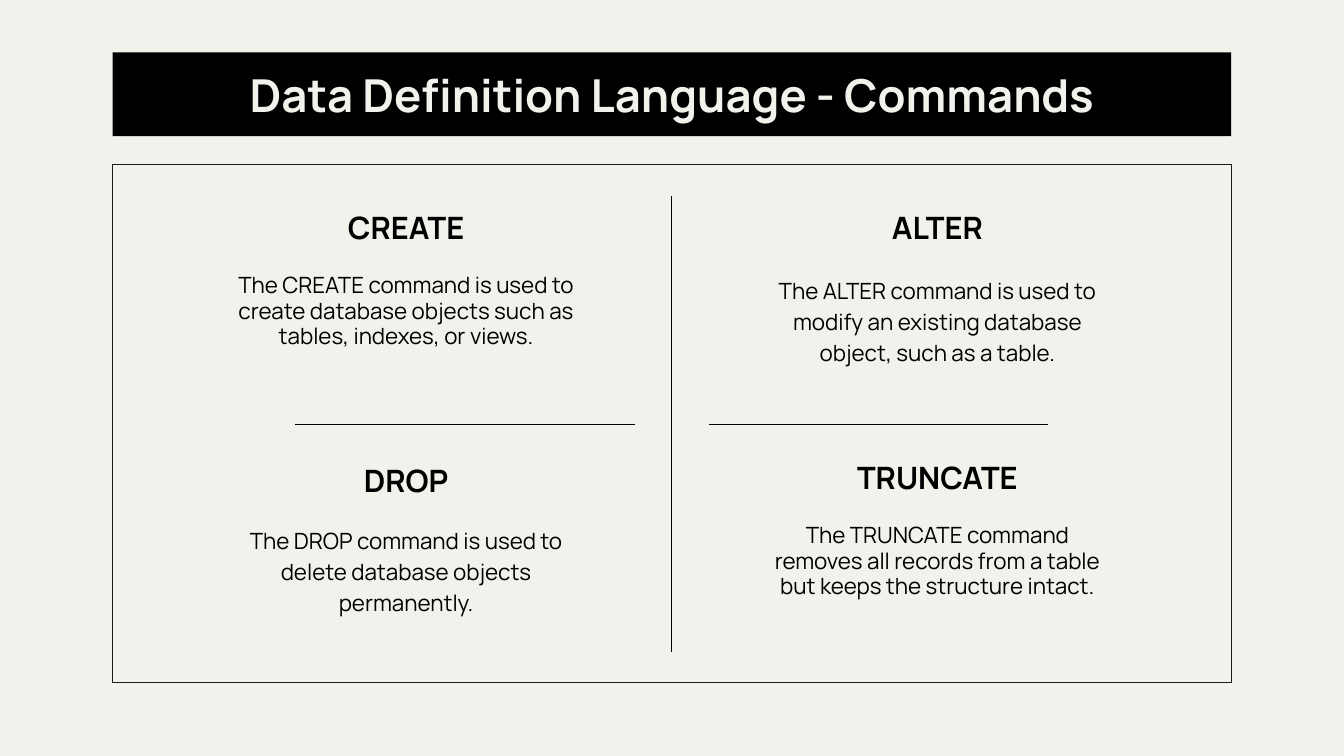
from dataclasses import dataclass

from pptx import Presentation
from pptx import util as u
from pptx.dml.color import RGBColor
from pptx.enum import shapes, text
from pptx.oxml import ns, xmlchemy

CREAM = RGBColor(0xF3, 0xF1, 0xEC)
BLACK = RGBColor(0x00, 0x00, 0x00)
CHARCOAL = RGBColor(0x1C, 0x1B, 0x1A)
FONT = "Manrope"

# Layout in centimetres
MARGIN_LEFT, CONTENT_WIDTH = 2.84, 28.19
COLUMNS, ROWS = (5.46, 18.85), (5.18, 11.48)
TEXT_WIDTH, HEADING_HEIGHT, BODY_HEIGHT = 9.55, 1.38, 3.33
INSET = 0.33


@dataclass
class Command:
    name: str
    description: str
    column: int
    row: int
    heading_spacing: float
    body_spacing: float


@dataclass
class Divider:
    x1: float
    y1: float
    x2: float
    y2: float


COMMANDS = [
    Command("CREATE", "The CREATE command is used to create database objects "
            "such as tables, indexes, or views.", 0, 0, 0.7, 0.95),
    Command("ALTER", "The ALTER command is used to modify an existing database "
            "object, such as a table.", 1, 0, 0.7, 1.15),
    Command("DROP", "The DROP command is used to delete database objects "
            "permanently.", 0, 1, 0.8, 1.15),
    Command("TRUNCATE", "The TRUNCATE command removes all records from a table "
            "but keeps the structure intact.", 1, 1, 0.7, 0.95),
]

DIVIDERS = [
    Divider(16.93, 4.95, 16.93, 16.43),
    Divider(16.0, 10.69, 7.44, 10.69),
    Divider(26.42, 10.69, 17.86, 10.69),
]


def add_rect(slide, top: float, height: float):
    sp = slide.shapes.add_shape(
        shapes.MSO_SHAPE.RECTANGLE, u.Cm(MARGIN_LEFT), u.Cm(top),
        u.Cm(CONTENT_WIDTH), u.Cm(height))
    sp.shadow.inherit = False
    return sp


def add_divider(slide, divider: Divider) -> None:
    line = slide.shapes.add_connector(
        shapes.MSO_CONNECTOR.STRAIGHT, u.Cm(divider.x1), u.Cm(divider.y1),
        u.Cm(divider.x2), u.Cm(divider.y2))
    line.line.color.rgb = BLACK
    line.line.width = u.Pt(0.75)
    line._element.spPr.append(xmlchemy.OxmlElement("a:effectLst"))


def write(sp, content: str, size: float, color: RGBColor, bold: bool,
          spacing: float = 1.0, after: float = 0,
          anchor=text.MSO_ANCHOR.TOP) -> None:
    tf = sp.text_frame
    tf.word_wrap = True
    tf.vertical_anchor = anchor
    tf.margin_left = tf.margin_right = u.Cm(INSET)
    tf.margin_top = tf.margin_bottom = u.Cm(INSET)
    p = tf.paragraphs[0]
    p.text = content
    p.alignment = text.PP_ALIGN.CENTER
    p.line_spacing = spacing
    p.space_after = u.Pt(after)
    p.font.name = FONT
    p.font.size = u.Pt(size)
    p.font.bold = bold
    p.font.color.rgb = color


def add_command(slide, command: Command) -> None:
    left, top = COLUMNS[command.column], ROWS[command.row]
    heading = slide.shapes.add_textbox(
        u.Cm(left), u.Cm(top), u.Cm(TEXT_WIDTH), u.Cm(HEADING_HEIGHT))
    write(heading, command.name, 22, BLACK, True, command.heading_spacing)
    body = slide.shapes.add_textbox(
        u.Cm(left), u.Cm(top + HEADING_HEIGHT), u.Cm(TEXT_WIDTH), u.Cm(BODY_HEIGHT))
    write(body, command.description, 16, BLACK, False, command.body_spacing, 16)


def main() -> None:
    prs = Presentation()
    prs.slide_width, prs.slide_height = u.Cm(33.87), u.Cm(19.05)
    slide = prs.slides.add_slide(prs.slide_layouts[6])
    slide.background.fill.solid()
    slide.background.fill.fore_color.rgb = CREAM

    # Frame and dividers
    frame = add_rect(slide, 4.14, 13.06)
    frame.fill.background()
    frame.line.color.rgb = CHARCOAL
    frame.line.width = u.Pt(0.75)
    for divider in DIVIDERS:
        add_divider(slide, divider)

    # Title bar
    title = add_rect(slide, 1.32, 2.11)
    title.fill.solid()
    title.fill.fore_color.rgb = BLACK
    title.line.fill.background()
    write(title, "Data Definition Language - Commands", 32.4, CREAM, True,
          anchor=text.MSO_ANCHOR.MIDDLE)

    # Command quadrants
    for command in COMMANDS:
        add_command(slide, command)

    prs.save("out.pptx")


if __name__ == "__main__":
    main()
